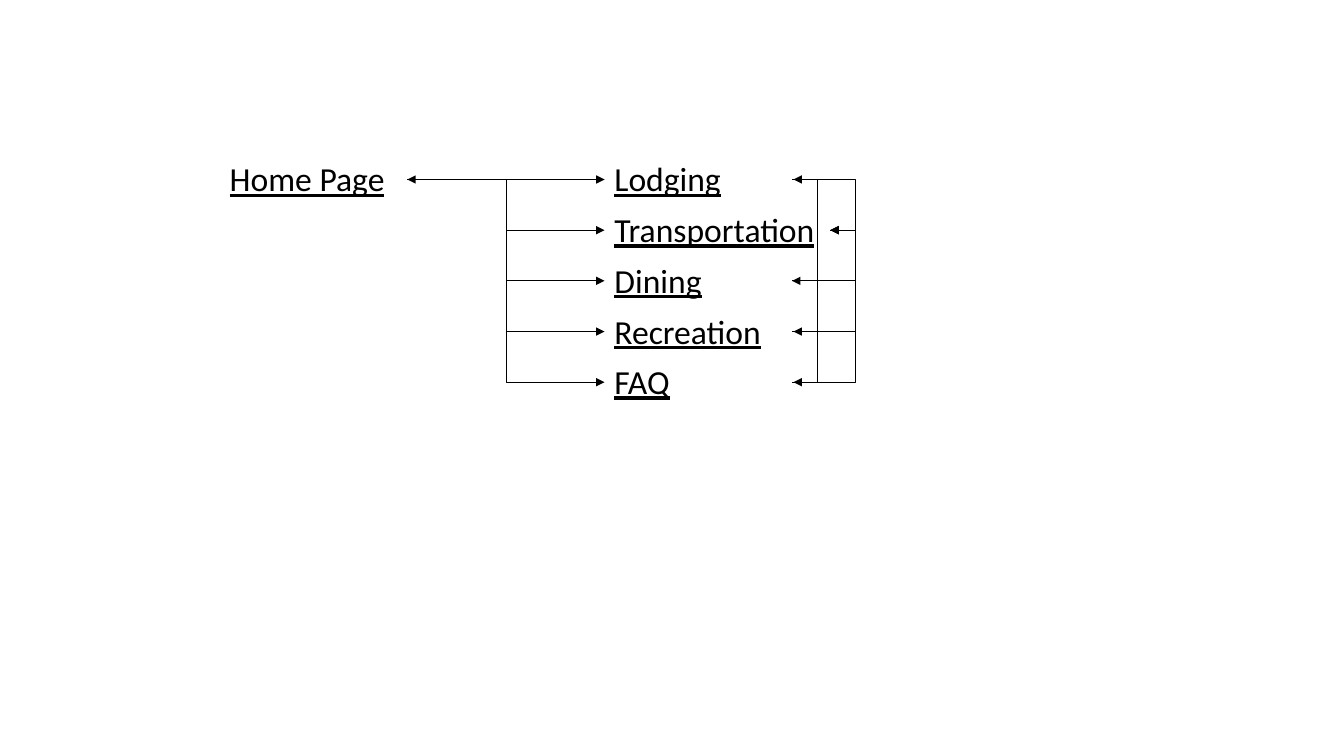
"""Build a site map slide with a home page linked to five pages."""
from lxml.etree import SubElement as Sub
from pptx import Presentation
from pptx.dml.color import RGBColor as Rgb
from pptx.enum.shapes import MSO_CONNECTOR as Link
from pptx.enum.text import MSO_AUTO_SIZE as Fit
from pptx.oxml.ns import qn
from pptx.util import Pt

HOME = "Home Page"
PAGES = ["Lodging", "Transportation", "Dining", "Recreation", "FAQ"]
LINKS = [
    ("FAQ", "Lodging"),
    ("Recreation", "Transportation"),
    ("Dining", "FAQ"),
    ("Lodging", "Recreation"),
    ("Transportation", "Dining"),
    ("FAQ", "Transportation"),
    ("Lodging", "Transportation"),
]
THEME = {"font": "Calibri", "size": 24, "ink": Rgb(0, 0, 0), "line": 0.5}
TOP, STEP, HIGH = 109.6, 36.2, 37.2
LEFT, COL = 157, 431.8
WIDE = {"Transportation": 161.4}
BEND = 18
LSIDE, RSIDE = 1, 3

deck = Presentation()
deck.slide_width, deck.slide_height = Pt(960), Pt(540)
slide = deck.slides.add_slide(deck.slide_layouts[6])
boxes = {}


def label(name, x, y):
    box = slide.shapes.add_textbox(Pt(x), Pt(y), Pt(WIDE.get(name, 134)), Pt(HIGH))
    frame = box.text_frame
    frame.word_wrap = True
    frame.auto_size = Fit.SHAPE_TO_FIT_TEXT
    run = frame.paragraphs[0].add_run()
    run.text = name
    font = run.font
    font.name, font.size = THEME["font"], Pt(THEME["size"])
    font.color.rgb, font.underline = THEME["ink"], True
    boxes[name] = box


def arrow(start, stop, out, into):
    line = slide.shapes.add_connector(Link.ELBOW, 0, 0, 0, 0)
    line.begin_connect(boxes[start], out)
    line.end_connect(boxes[stop], into)
    line.line.color.rgb = THEME["ink"]
    line.line.width = Pt(THEME["line"])
    props = line._element.spPr
    Sub(props.find(qn("a:ln")), qn("a:tailEnd"), type="triangle")
    Sub(props, qn("a:effectLst"))
    return line


def loop(start, stop):
    line = arrow(start, stop, RSIDE, RSIDE)
    if line.begin_x == line.end_x:
        line.end_x = line.begin_x + Pt(1)
        turn = line.begin_x + Pt(BEND)
    else:
        turn = max(line.begin_x, line.end_x) + Pt(BEND)
    ratio = (turn - line.begin_x) / (line.end_x - line.begin_x)
    guides = line._element.spPr.find(qn("a:prstGeom")).get_or_add_avLst()
    Sub(guides, qn("a:gd"), name="adj1", fmla=f"val {round(ratio * 100000)}")


label(HOME, LEFT, TOP)
for row, page in enumerate(PAGES):
    label(page, COL, TOP + row * STEP)
for page in PAGES:
    arrow(HOME, page, RSIDE, LSIDE)
for start, stop in LINKS:
    loop(start, stop)
arrow(PAGES[0], HOME, LSIDE, RSIDE)

deck.save("out.pptx")
